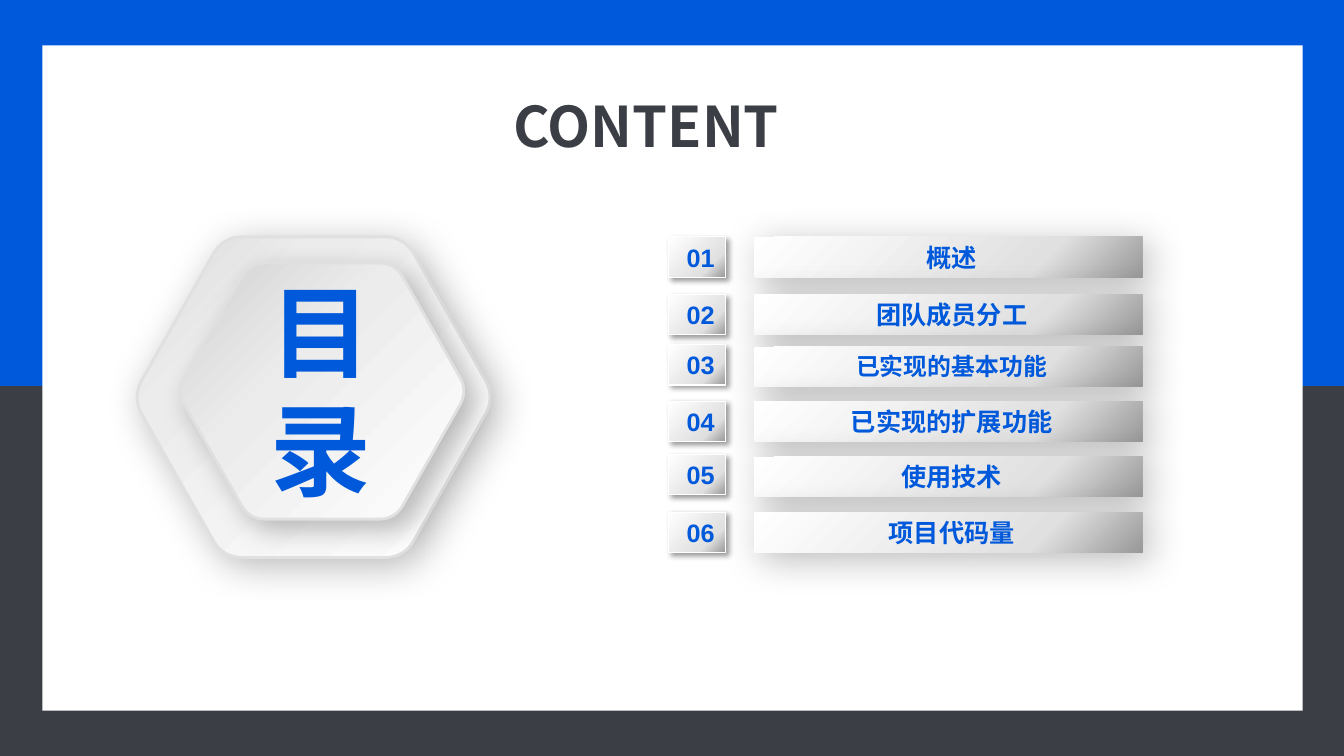
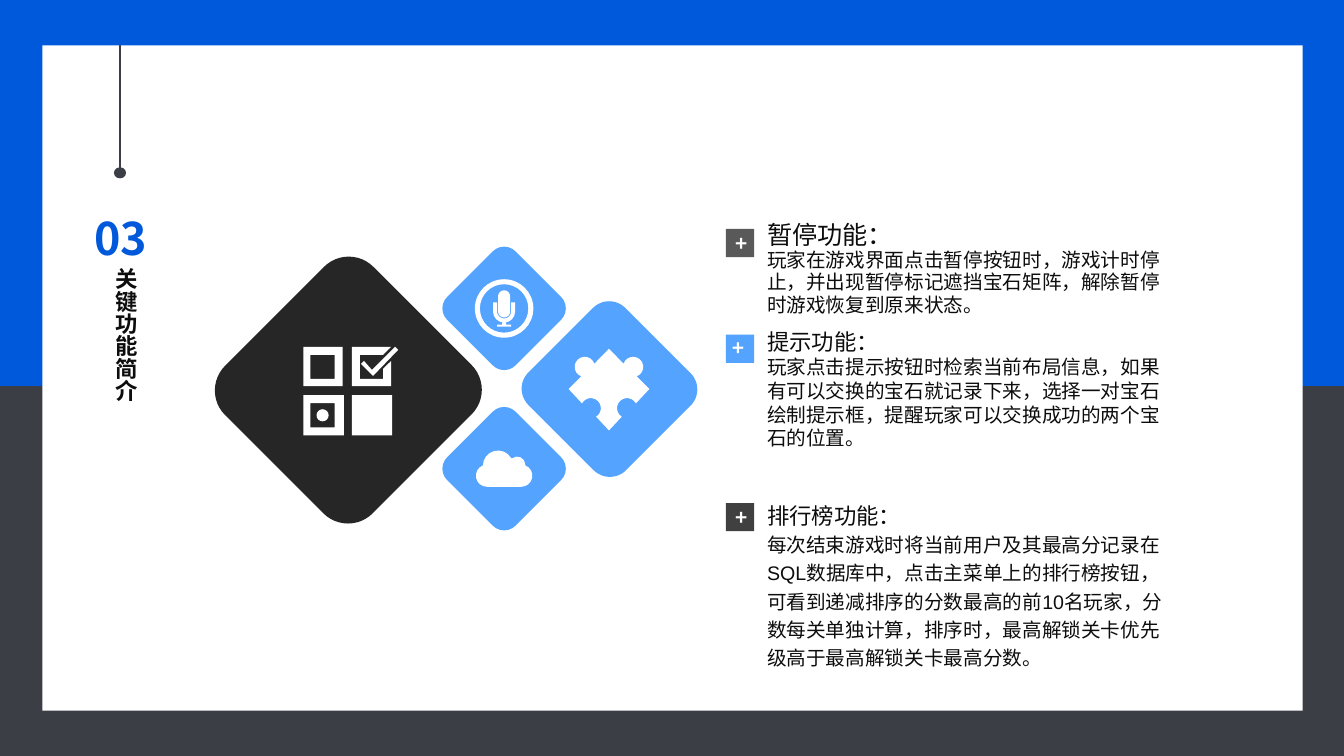
from math import ceil, cos, radians, sin, tan

from lxml.etree import SubElement
from pptx import Presentation
from pptx.dml.color import RGBColor
from pptx.enum.shapes import MSO_CONNECTOR, MSO_SHAPE
from pptx.enum.text import MSO_ANCHOR, MSO_AUTO_SIZE, PP_ALIGN
from pptx.oxml import parse_xml
from pptx.oxml.ns import nsdecls, qn
from pptx.util import Inches, Pt

BLUE, SKY, WHITE, SLATE = "0059DB", "54A3FF", "FFFFFF", "3B3E45"
INK, COAL = "0D0D0D", "262626"
SANS, HEAVY = "Arial", "Noto Sans CJK SC"
METAL = [(0, WHITE), (73, "E0E0E0"), (100, "999999")]
SOFT_SHADOW = (28, 28, 7)
AGENDA = [
    # topic, top of bar, top of number, bar height, topic size
    ("概述", 2.35, 2.35, 0.4, 18),
    ("团队成员分工", 2.92, 2.92, 0.4, 18),
    ("已实现的基本功能", 3.44, 3.42, 0.39, 17),
    ("已实现的扩展功能", 3.98, 3.98, 0.4, 18),
    ("使用技术", 4.53, 4.51, 0.4, 18),
    ("项目代码量", 5.08, 5.08, 0.4, 18),
]
FEATURES = [
    # text top, text height, marker top, marker colour, heading size, line spacing
    (2.2, 0.99, 2.27, "595959", 18, 16, "暂停功能：",
     "玩家在游戏界面点击暂停按钮时，游戏计时停止，并出现暂停标记遮挡宝石矩阵，"
     "解除暂停时游戏恢复到原来状态。"),
    (3.21, 1.31, 3.32, SKY, 16, None, "提示功能：",
     "玩家点击提示按钮时检索当前布局信息，如果有可以交换的宝石就记录下来，"
     "选择一对宝石绘制提示框，提醒玩家可以交换成功的两个宝石的位置。"),
    (4.92, 1.77, 4.99, "404040", 16, 20, "排行榜功能：",
     "每次结束游戏时将当前用户及其最高分记录在SQL数据库中，点击主菜单上的排行榜按钮，"
     "可看到递减排序的分数最高的前10名玩家，分数每关单独计算，排序时，"
     "最高解锁关卡优先级高于最高解锁关卡最高分数。"),
]


def rgb(value):
    return RGBColor.from_string(value)


def inches(box):
    return [Inches(value) for value in box]


# ---- text ----

def add_run(paragraph, text, size, color, font=SANS, bold=False):
    run = paragraph.add_run()
    run.text = text
    run.font.size, run.font.bold, run.font.name = Pt(size), bold, font
    run.font.color.rgb = rgb(color)
    SubElement(run.font._element, qn("a:ea")).set("typeface", font)


def set_frame(holder, anchor=MSO_ANCHOR.TOP, side=0.1, edge=0.05):
    frame = holder.text_frame
    frame.word_wrap = True
    frame.auto_size = MSO_AUTO_SIZE.NONE
    frame.vertical_anchor = anchor
    frame.margin_left = frame.margin_right = Inches(side)
    frame.margin_top = frame.margin_bottom = Inches(edge)
    return frame


def write(paragraph, text, size, color, font=SANS, bold=False,
          align=PP_ALIGN.LEFT, spacing=None):
    paragraph.alignment = align
    if spacing:
        paragraph.line_spacing = Pt(spacing)
    add_run(paragraph, text, size, color, font, bold)


def add_text(slide, box):
    return set_frame(slide.shapes.add_textbox(*inches(box)))


def place_title(slide, box):
    title = slide.shapes.title
    title.left, title.top, title.width, title.height = inches(box)
    return set_frame(title)


# ---- shapes ----

def paint(shape, fill, line=None, shadow=None):
    """Fill is a colour or gradient stops; shadow is (opacity, blur, distance)."""
    if isinstance(fill, str):
        shape.fill.solid()
        shape.fill.fore_color.rgb = rgb(fill)
    else:
        shape.fill.gradient()
        shape.fill.gradient_angle = 315
        stops = "".join(
            f'<a:gs pos="{at * 1000}"><a:srgbClr val="{color}"/></a:gs>' for at, color in fill)
        old = shape.element.spPr.find(".//" + qn("a:gsLst"))
        old.getparent().replace(
            old, parse_xml(f'<a:gsLst {nsdecls("a")}>{stops}</a:gsLst>'))
    if line:
        shape.line.color.rgb = rgb(line[0])
        shape.line.width = Pt(line[1])
    else:
        shape.line.fill.background()
    shape.shadow.inherit = False
    if shadow:
        opacity, blur, distance = shadow
        shape.element.spPr.find(qn("a:effectLst")).append(parse_xml(
            f'<a:outerShdw {nsdecls("a")} blurRad="{Pt(blur)}" dist="{Pt(distance)}" '
            f'dir="2700000" algn="tl" rotWithShape="0"><a:srgbClr val="000000">'
            f'<a:alpha val="{opacity * 1000}"/></a:srgbClr></a:outerShdw>'))
    return shape


def add_preset(slide, kind, box, fill, **style):
    return paint(slide.shapes.add_shape(kind, *inches(box)), fill, **style)


def add_outline(slide, origin, contours, fill, **style):
    """Draw contours of (x, y) points and three-point curves, in inches from origin."""
    builder, curve_starts, count = None, [], 0
    for contour in contours:
        points = []
        for segment in contour:
            if len(segment) == 6:
                curve_starts.append(count + len(points))
            points += [(Inches(origin[0] + x), Inches(origin[1] + y))
                       for x, y in zip(segment[::2], segment[1::2])]
        if builder is None:
            builder = slide.shapes.build_freeform(*points[0], scale=1.0)
        else:
            builder.move_to(*points[0])
        builder.add_line_segments(points[1:], close=True)
        count += len(points)
    shape = builder.convert_to_shape()
    steps = [pt.getparent() for pt in shape.element.spPr.iter(qn("a:pt"))]
    for start in curve_starts:
        curve, *rest = steps[start:start + 3]
        curve.tag = qn("a:cubicBezTo")
        for step in rest:
            curve.append(step[0])
            step.getparent().remove(step)
    return paint(shape, fill, **style)


def arc(x, y, radius, start, end):
    """Start point followed by curves of at most a quarter turn."""
    pieces = ceil(abs(end - start) / 90)
    turn = radians(end - start) / pieces
    pull = radius * 4 / 3 * tan(turn / 4)
    segments = [(x + radius * cos(radians(start)), y + radius * sin(radians(start)))]
    for piece in range(pieces):
        a = radians(start) + piece * turn
        b = a + turn
        x1, y1 = x + radius * cos(a), y + radius * sin(a)
        x2, y2 = x + radius * cos(b), y + radius * sin(b)
        segments.append((x1 - pull * sin(a), y1 + pull * cos(a),
                         x2 + pull * sin(b), y2 - pull * cos(b), x2, y2))
    return segments


def circle(x, y, radius):
    return arc(x, y, radius, 0, 360)


def square(x, y, side):
    return [(x, y), (x + side, y), (x + side, y + side), (x, y + side)]


# ---- icons ----

def checklist_icon():
    notched = [(0.48, 0), (0.87, 0), (0.79, 0.08), (0.56, 0.08), (0.56, 0.32),
               (0.79, 0.32), (0.79, 0.22), (0.87, 0.14), (0.87, 0.39), (0.48, 0.39)]
    tick = [(0.91, 0), (0.94, 0.03), (0.69, 0.29), (0.57, 0.17), (0.6, 0.14), (0.68, 0.23)]
    return [square(0, 0, 0.39), square(0.07, 0.08, 0.24),
            square(0, 0.48, 0.4), square(0.07, 0.56, 0.24), circle(0.19, 0.68, 0.06),
            square(0.48, 0.48, 0.4), notched, tick]


def microphone_icon():
    capsule = arc(0.29, 0.17, 0.06, 180, 360) + arc(0.29, 0.32, 0.06, 0, 180)
    cradle = (arc(0.29, 0.32, 0.11, 0, 180) + [(0.18, 0.23), (0.22, 0.23)]
              + arc(0.29, 0.32, 0.07, 180, 0) + [(0.36, 0.23), (0.4, 0.23)])
    stand = [(0.27, 0.43), (0.31, 0.43), (0.31, 0.45), (0.36, 0.45),
             (0.36, 0.47), (0.22, 0.47), (0.22, 0.45), (0.27, 0.45)]
    return [circle(0.29, 0.29, 0.29), circle(0.29, 0.29, 0.24), capsule, cradle, stand]


def puzzle_icon():
    return [[(0.4, 0)] + arc(0.64, 0.18, 0.1, 198, 430) + [(0.8, 0.4)]
            + arc(0.58, 0.59, 0.1, 331, 122) + [(0.4, 0.81)]
            + arc(0.22, 0.59, 0.1, 58, -151) + [(0, 0.4)]
            + arc(0.16, 0.18, 0.1, 110, 342)]


def cloud_icon():
    return [arc(0.11, 0.25, 0.11, 90, 248) + arc(0.22, 0.15, 0.15, 180, 330)
            + arc(0.41, 0.14, 0.08, 230, 360) + arc(0.45, 0.25, 0.11, 292, 450)]


# ---- regions ----

def add_frame(slide, layout):
    """Put the two-colour border behind everything on the layout."""
    bands = [((0, 3.78, 13.33, 3.75), SLATE), ((0, 0, 13.33, 3.83), BLUE),
             ((0.42, 0.45, 12.5, 6.6), WHITE)]
    for order, (box, color) in enumerate(bands):
        band = add_preset(slide, MSO_SHAPE.RECTANGLE, box, color).element
        band.nvSpPr.cNvPr.set("id", str(100 + order))
        layout.shapes.element.insert(2 + order, band)


def add_hexagon(slide, box, stops, shadow):
    left, top, width, height = box
    corner = 0.18
    reach = 1 - corner
    half_height = reach * sin(radians(60)) + corner
    scales = (width / 2, height / 2 / half_height)
    contour = []
    for turn in range(0, 360, 60):
        center = reach * cos(radians(turn)), reach * sin(radians(turn))
        contour += [tuple(value * scales[i % 2] for i, value in enumerate(segment))
                    for segment in arc(*center, corner, turn - 30, turn + 30)]
    hexagon = add_outline(slide, (left + width / 2, top + height / 2), [contour], stops,
                          line=("E0E0E0", 2), shadow=shadow)
    hexagon.rotation = 180


def add_emblem(slide, left, top):
    add_hexagon(slide, (left, top, 3.5, 3.18),
                [(0, WHITE), (73, "ECECEC"), (100, "D9D9D9")], SOFT_SHADOW)
    add_hexagon(slide, (left + 0.43, top + 0.26, 2.81, 2.54),
                [(0, WHITE), (60, "ECECEC"), (100, "D1D1D1")], (25, 20, 9))
    frame = add_text(slide, (left + 1.22, top + 0.31, 1.25, 2.52))
    write(frame.paragraphs[0], "目录", 72, BLUE, HEAVY, True, spacing=84)


def add_agenda(slide, left):
    for row, (topic, bar_top, number_top, height, size) in enumerate(AGENDA, 1):
        bar = add_preset(slide, MSO_SHAPE.RECTANGLE, (left + 0.85, bar_top, 3.85, height),
                         METAL, shadow=SOFT_SHADOW)
        number = add_preset(slide, MSO_SHAPE.RECTANGLE, (left, number_top, 0.57, 0.4),
                            METAL, line=(WHITE, 0.75), shadow=(40, 4, 3))
        for cell, text, points in ((bar, topic, size), (number, f"{row:02}", 18)):
            frame = set_frame(cell, MSO_ANCHOR.MIDDLE, 0, 0)
            write(frame.paragraphs[0], " " + text, points, BLUE, bold=True,
                  align=PP_ALIGN.CENTER)


def add_section_mark(slide, center):
    string = slide.shapes.add_connector(
        MSO_CONNECTOR.STRAIGHT, *inches((center, 0.45, center, 1.69)))
    string.line.color.rgb = rgb(SLATE)
    string.line.width = Pt(2)
    SubElement(string.element.spPr, qn("a:effectLst"))
    add_preset(slide, MSO_SHAPE.OVAL, (center - 0.06, 1.66, 0.12, 0.11), SLATE)
    number = add_text(slide, (center - 0.44, 1.74, 0.9, 0.85))
    write(number.paragraphs[0], "03", 32, BLUE, HEAVY, True, PP_ALIGN.CENTER, 60)
    heading = place_title(slide, (center - 0.24, 2.61, 0.53, 2.94))
    heading._txBody.bodyPr.set("vert", "eaVert")
    write(heading.paragraphs[0], "关键功能简介", 16, INK, HEAVY, True)


def add_icon_tile(slide, box, color, icon, offset):
    tile = add_preset(slide, MSO_SHAPE.ROUNDED_RECTANGLE, box, color)
    tile.adjustments[0] = 0.167
    tile.rotation = 45
    add_outline(slide, (box[0] + offset[0], box[1] + offset[1]), icon, WHITE)


def add_feature(slide, left, feature):
    text_top, height, marker_top, color, size, spacing, heading, detail = feature
    frame = add_text(slide, (left + 0.31, text_top, 4.27, height))
    paragraph = frame.paragraphs[0]
    write(paragraph, heading, size, INK, spacing=spacing)
    if spacing:
        paragraph.add_line_break()
        add_run(paragraph, detail, 14, INK)
    else:
        write(frame.add_paragraph(), detail, 14, INK)
    marker = add_preset(slide, MSO_SHAPE.RECTANGLE, (left, marker_top, 0.28, 0.28), color)
    if color == SKY:
        marker.element.spPr.xfrm.set("flipV", "1")
    plus = set_frame(marker, MSO_ANCHOR.MIDDLE)
    write(plus.paragraphs[0], "+", 14.7, WHITE, HEAVY, True, PP_ALIGN.CENTER)


# ---- slides ----

def build_contents(slide):
    title = place_title(slide, (4.99, 0.69, 3.18, 0.88))
    write(title.paragraphs[0], "CONTENT", 40, SLATE, HEAVY, True, spacing=60)
    add_agenda(slide, 6.63)
    add_emblem(slide, 1.36, 2.35)


def build_features(slide):
    add_section_mark(slide, 1.19)
    add_icon_tile(slide, (2.42, 2.83, 2.07, 2.08), COAL, checklist_icon(), (0.59, 0.61))
    add_icon_tile(slide, (4.52, 2.58, 0.96, 0.96), SKY, microphone_icon(), (0.19, 0.19))
    add_icon_tile(slide, (5.36, 3.18, 1.37, 1.36), SKY, puzzle_icon(), (0.28, 0.28))
    add_icon_tile(slide, (4.52, 4.17, 0.96, 0.96), SKY, cloud_icon(), (0.2, 0.3))
    for feature in FEATURES:
        add_feature(slide, 7.2, feature)


def main():
    deck = Presentation()
    deck.slide_width, deck.slide_height = Inches(13.33), Inches(7.5)
    layout = deck.slide_layouts[5]
    contents, features = (deck.slides.add_slide(layout) for _ in range(2))
    add_frame(contents, layout)
    build_contents(contents)
    build_features(features)
    deck.save("out.pptx")


if __name__ == "__main__":
    main()
